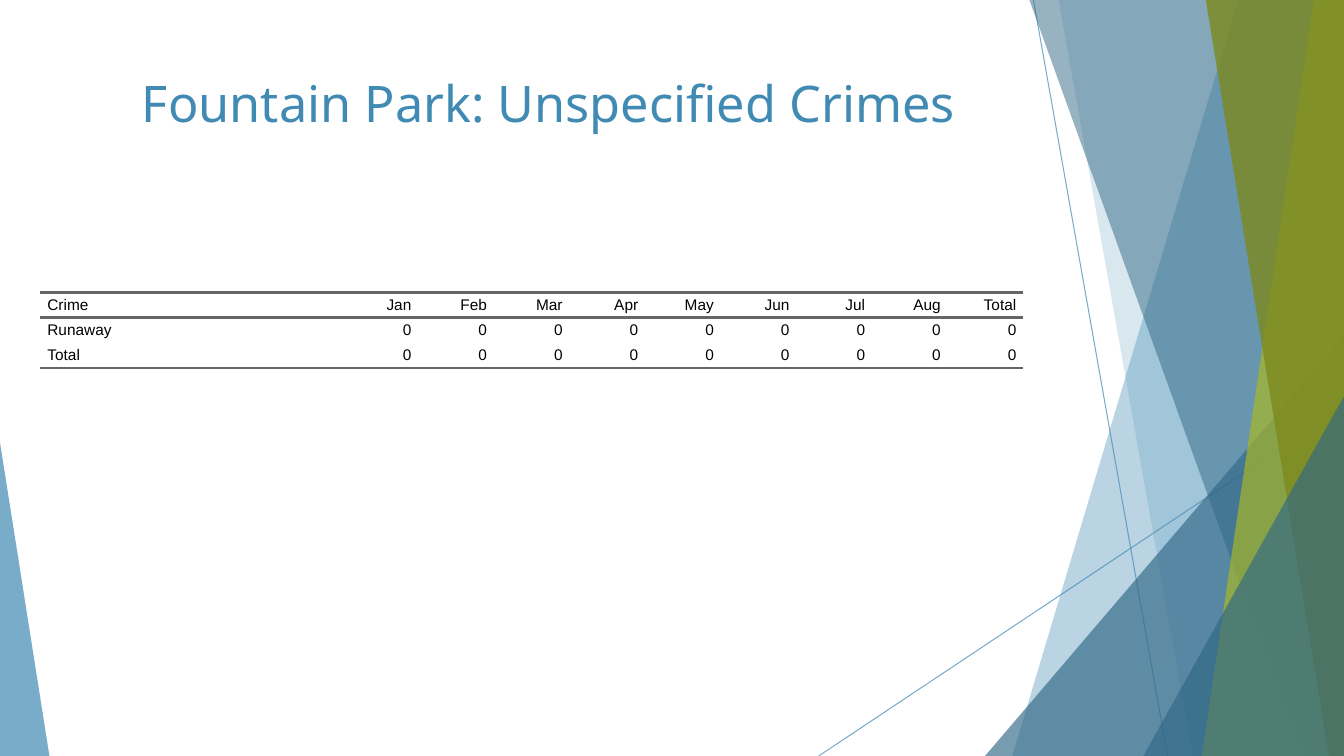
from lxml import etree
from pptx import Presentation, util as u
from pptx.dml.color import RGBColor
from pptx.enum import shapes, text
from pptx.oxml.ns import qn

WIDTH, HEIGHT = 13.33, 7.5
BLUE, NAVY, LIME, OLIVE, GREY, BLACK = "418AB3", "316886", "A6B727", "7D891D", "666666", "000000"
TITLE = "Fountain Park: Unspecified Crimes"
MONTHS = ["Jan", "Feb", "Mar", "Apr", "May", "Jun", "Jul", "Aug"]
COUNTS = {"Runaway": [0] * len(MONTHS)}
RULES = [((10.25, 0), (11.58, HEIGHT)), ((WIDTH, 4.03), (8.12, HEIGHT))]
# kind, geometry, colour, opacity
FACETS = [
    ("band", (12.28, 10.04), BLUE, 36),
    ("band", (10.5, 11.83), BLUE, 20),
    ("wedge", (9.77, 3.33, 3.56, 1), NAVY, 66),
    ("band", (10.21, 12.91), NAVY, 50),
    ("band", (13.03, 11.92), LIME, 70),
    ("band", (11.96, 13.18), OLIVE, 80),
    ("wedge", (11.34, 3.93, 1.99, 1), NAVY, 66),
    ("wedge", (0, 4.39, 0.49, 0), BLUE, 70),
]
NO_STYLE = "{2D5ABB26-0587-4C30-8999-92F81FD0307C}"


def paint(target, colour, opacity=100):
    """Give a fill or line a solid colour with an opacity in percent."""
    target.solid()
    target.fore_color.rgb = RGBColor.from_string(colour)
    if opacity < 100:
        tint = target._xPr.find(qn("a:solidFill"))[0]
        etree.SubElement(tint, qn("a:alpha"), val=str(opacity * 1000))


def add_rule(page, start, end):
    """Draw a thin straight accent line."""
    ends = [u.Inches(value) for value in start + end]
    rule = page.shapes.add_connector(shapes.MSO_CONNECTOR.STRAIGHT, *ends)
    rule.line.width = u.Pt(0.75)
    paint(rule.line.fill, BLUE, 70)
    etree.SubElement(rule._element.spPr, qn("a:effectLst"))


def add_facet(page, kind, geometry, colour, opacity):
    """Draw a band reaching the right edge, or a wedge on the bottom edge."""
    if kind == "band":
        top, bottom = geometry
        corners = [(top, 0), (WIDTH, 0), (WIDTH, HEIGHT), (bottom, HEIGHT)]
        points = [(u.Inches(x), u.Inches(y)) for x, y in corners]
        outline = page.shapes.build_freeform(*points[0])
        outline.add_line_segments(points[1:], close=True)
        facet = outline.convert_to_shape()
    else:
        left, top, width, apex = geometry
        frame = [u.Inches(value) for value in (left, top, width, HEIGHT - top)]
        facet = page.shapes.add_shape(shapes.MSO_SHAPE.ISOSCELES_TRIANGLE, *frame)
        facet.adjustments[0] = apex
    paint(facet.fill, colour, opacity)
    facet.line.fill.background()
    facet.shadow.inherit = False


def set_font(para, name, size, colour):
    """Set the font of a whole paragraph."""
    para.font.name, para.font.size = name, u.Pt(size)
    para.font.color.rgb = RGBColor.from_string(colour)


def add_border(cell, side, position):
    """Draw one horizontal border of a cell."""
    border = etree.Element(qn("a:" + side), w=str(u.Pt(2)))
    solid = etree.SubElement(border, qn("a:solidFill"))
    etree.SubElement(solid, qn("a:srgbClr"), val=GREY)
    cell._tc.get_or_add_tcPr().insert(position, border)


def add_crimes(page):
    """Add the table of crimes by month with computed totals."""
    sums = [sum(column) for column in zip(*COUNTS.values())]
    body = [[name, *counts, sum(counts)] for name, counts in COUNTS.items()]
    rows = [["Crime", *MONTHS, "Total"], *body, ["Total", *sums, sum(sums)]]
    widths = [3] + [0.75] * (len(MONTHS) + 1)
    frame = [u.Inches(v) for v in (0.4, 2.9, sum(widths), 0.25 * len(rows))]
    table = page.shapes.add_table(len(rows), len(widths), *frame).table
    table.first_row = table.horz_banding = False
    table._tbl.tblPr.find(qn("a:tableStyleId")).text = NO_STYLE
    for column, width in zip(table.columns, widths):
        column.width = u.Inches(width)
    for r, row in enumerate(rows):
        for c, value in enumerate(row):
            cell = table.cell(r, c)
            cell.text = str(value)
            cell.fill.background()
            cell.vertical_anchor = text.MSO_ANCHOR.MIDDLE
            cell.margin_left = cell.margin_right = u.Inches(0.07)
            cell.margin_top = cell.margin_bottom = 0
            para = cell.text_frame.paragraphs[0]
            para.alignment = text.PP_ALIGN.RIGHT if c else text.PP_ALIGN.LEFT
            set_font(para, "Arial", 11, BLACK)
            sides = {0: ["lnT", "lnB"], len(rows) - 1: ["lnB"]}.get(r, [])
            for position, side in enumerate(sides):
                add_border(cell, side, position)


def add_title(page):
    """Add the centred slide title."""
    box = page.shapes.add_textbox(*[u.Inches(v) for v in (0.74, 0.67, 9.4, 1.44)])
    box.text_frame.word_wrap = True
    para = box.text_frame.paragraphs[0]
    para.text, para.alignment = TITLE, text.PP_ALIGN.CENTER
    set_font(para, "Noto Sans", 36, BLUE)


def main():
    """Build and save the slide."""
    deck = Presentation()
    deck.slide_width, deck.slide_height = u.Inches(WIDTH), u.Inches(HEIGHT)
    page = deck.slides.add_slide(deck.slide_layouts[6])
    for start, end in RULES:
        add_rule(page, start, end)
    for facet in FACETS:
        add_facet(page, *facet)
    add_crimes(page)
    add_title(page)
    deck.save("out.pptx")


if __name__ == "__main__":
    main()
